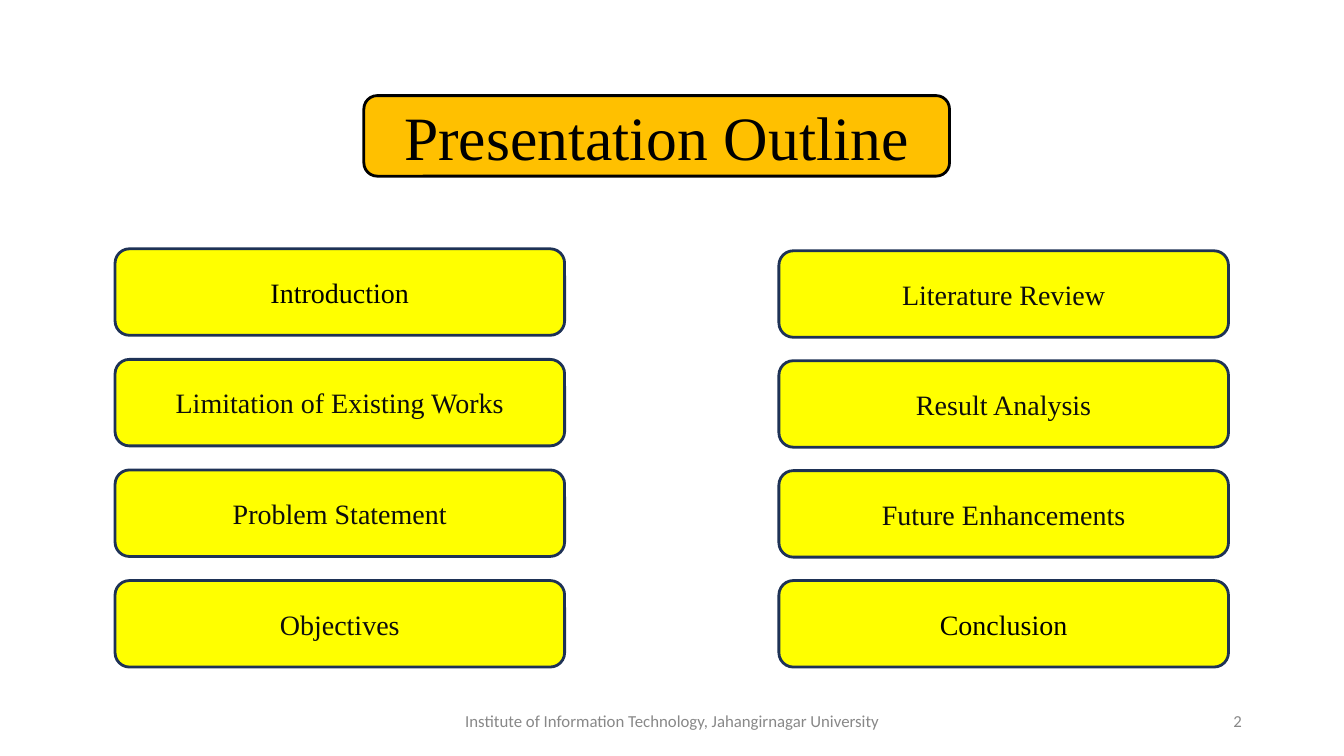
"""Build the outline slide of a talk."""
from pptx import Presentation
from pptx.dml.color import RGBColor as RGB
from pptx.enum.shapes import MSO_SHAPE as Kind
from pptx.enum.text import MSO_ANCHOR as Anchor, PP_ALIGN as Align
from pptx.util import Cm, Pt

AMBER = RGB(0xFF, 0xC0, 0x00)
YELLOW = RGB(0xFF, 0xFF, 0x00)
NAVY = RGB(0x1E, 0x32, 0x56)
BLACK = RGB(0x00, 0x00, 0x00)
INK = RGB(0x0D, 0x0D, 0x0D)
GREY = RGB(0x88, 0x88, 0x88)
SERIF, SANS = "Times New Roman", "Calibri"
ROW = 2.18

LEFT = [("Introduction", BLACK), ("Limitation of Existing Works", INK),
        ("Problem Statement", INK), ("Objectives", INK)]
RIGHT = [("Literature Review", INK), ("Result Analysis", INK),
         ("Future Enhancements", INK), ("Conclusion", BLACK)]


def write(shape, text, size=20, face=SERIF, color=INK, align=Align.CENTER):
    """Put one formatted line of text in a shape."""
    frame = shape.text_frame
    frame.word_wrap = True
    frame.vertical_anchor = Anchor.MIDDLE
    line = frame.paragraphs[0]
    line.alignment = align
    run = line.add_run()
    run.text = text
    run.font.size = Pt(size)
    run.font.name = face
    run.font.color.rgb = color


def panel(slide, box, text, fill, edge, **style):
    """Draw a rounded panel with centred text."""
    shape = slide.shapes.add_shape(Kind.ROUNDED_RECTANGLE, *map(Cm, box))
    shape.shadow.inherit = False
    shape.fill.solid()
    shape.fill.fore_color.rgb = fill
    shape.line.color.rgb = edge
    shape.line.width = Pt(2)
    write(shape, text, **style)


def column(slide, box, topics):
    """Spread topic panels evenly down the box."""
    left, top, width, height = box
    step = (height - ROW) / (len(topics) - 1)
    for row, (text, color) in enumerate(topics):
        spot = (left, top + row * step, width, ROW)
        panel(slide, spot, text, YELLOW, NAVY, color=color)


def footer(slide, box, name, page):
    """Set the institute name and the page number along the box."""
    left, top, width, height = box
    parts = [(0, 11.43, name, Align.CENTER),
             (width - 7.62, 7.62, page, Align.RIGHT)]
    for shift, span, text, align in parts:
        spot = (left + shift, top, span, height)
        label = slide.shapes.add_textbox(*map(Cm, spot))
        write(label, text, size=12, face=SANS, color=GREY, align=align)


def main():
    """Compose the slide and save it."""
    deck = Presentation()
    deck.slide_width, deck.slide_height = Cm(33.87), Cm(19.05)
    slide = deck.slides.add_slide(deck.slide_layouts[6])
    panel(slide, (9.17, 2.41, 14.76, 2.03), "Presentation Outline",
          AMBER, BLACK, size=44, color=BLACK)
    column(slide, (2.9, 6.27, 11.33, 10.54), LEFT)
    column(slide, (19.63, 6.32, 11.33, 10.49), RIGHT)
    footer(slide, (11.23, 17.65, 20.32, 1.02),
           "Institute of Information Technology, Jahangirnagar University",
           "2")
    deck.save("out.pptx")


if __name__ == "__main__":
    main()
